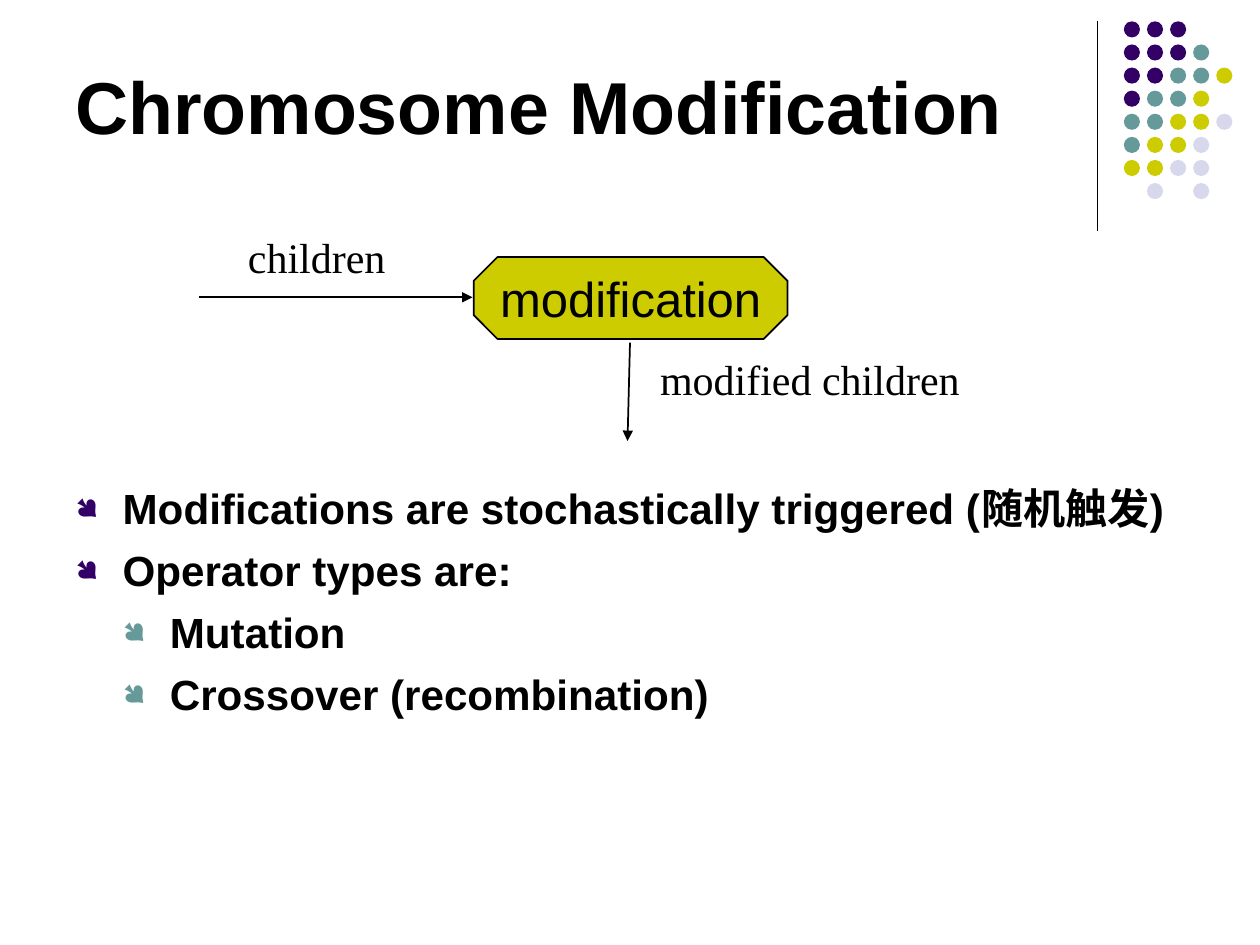
from lxml.etree import SubElement
from pptx import Presentation
from pptx.dml.color import RGBColor
from pptx.enum.shapes import MSO_CONNECTOR as Connector, MSO_SHAPE as Shape
from pptx.enum.text import MSO_ANCHOR as Anchor, PP_ALIGN as Align
from pptx.oxml.ns import qn
from pptx.util import Pt

COLORS = {
    "black": "000000",
    "purple": "330066",
    "teal": "669999",
    "olive": "CCCC00",
    "lavender": "D8D8EC",
}
TITLE = "Chromosome Modification"
OPERATION = "modification"
LABELS = [
    ("children", (134.6, 128.9, 92.9, 36)),
    ("modified children", (370.1, 198.7, 185.8, 36)),
]
LINES = [
    ((627.1, 12.2), (627.1, 131.8), 0.75, False),
    ((113.8, 169.9), (270, 169.9), 1, True),
    ((360, 195.8), (358.6, 252), 1, True),
]
BULLETS = [
    (0, "Modifications are stochastically triggered (随机触发)"),
    (0, "Operator types are:"),
    (1, "Mutation"),
    (1, "Crossover (recombination)"),
]
BULLET_COLORS = ["purple", "teal"]
BULLET_INDENT = 27
DOT_ROWS = ["PPP", "PPPT", "PPTTO", "PTTO", "TTOOL", "TOOL", "OOLL", " L L"]
DOT_COLORS = {"P": "purple", "T": "teal", "O": "olive", "L": "lavender"}
DOT_LEFT, DOT_TOP, DOT_PITCH, DOT_SIZE = 642.2, 12.2, 13.2, 9.2


def rgb(name):
    return RGBColor.from_string(COLORS[name])


def add_shape(slide, kind, box, fill, line=None):
    shape = slide.shapes.add_shape(kind, *map(Pt, box))
    shape.shadow.inherit = False
    shape.fill.solid()
    shape.fill.fore_color.rgb = rgb(fill)
    if line:
        shape.line.color.rgb = rgb(line)
        shape.line.width = Pt(1)
    else:
        shape.line.fill.background()
    return shape


def add_line(slide, start, end, width, arrow):
    line = slide.shapes.add_connector(Connector.STRAIGHT, *map(Pt, start + end))
    line.line.color.rgb = rgb("black")
    line.line.width = Pt(width)
    if arrow:
        SubElement(line.line._get_or_add_ln(), qn("a:tailEnd"), type="triangle")
    SubElement(line._element.spPr, qn("a:effectLst"))


def add_bullet(paragraph, level):
    properties = paragraph._p.get_or_add_pPr()
    properties.set("marL", str(Pt(BULLET_INDENT * (level + 1))))
    properties.set("indent", str(Pt(-BULLET_INDENT)))
    color = SubElement(properties, qn("a:buClr"))
    SubElement(color, qn("a:srgbClr"), val=COLORS[BULLET_COLORS[level]])
    SubElement(properties, qn("a:buSzPct"), val="70000")
    SubElement(properties, qn("a:buFont"), typeface="Wingdings")
    SubElement(properties, qn("a:buChar"), char="●")


def write(paragraph, text, size, font="Arial", bold=False, align=Align.LEFT):
    run = paragraph.add_run()
    run.text = text
    run.font.size = Pt(size)
    run.font.name = font
    run.font.bold = bold
    run.font.color.rgb = rgb("black")
    paragraph.alignment = align


def add_text_frame(slide, box, wrap=True, anchor=Anchor.TOP):
    frame = slide.shapes.add_textbox(*map(Pt, box)).text_frame
    frame.word_wrap = wrap
    frame.vertical_anchor = anchor
    return frame


def add_dots(slide):
    for row, codes in enumerate(DOT_ROWS):
        for column, code in enumerate(codes):
            if code in DOT_COLORS:
                left = DOT_LEFT + column * DOT_PITCH
                top = DOT_TOP + row * DOT_PITCH
                box = (left, top, DOT_SIZE, DOT_SIZE)
                add_shape(slide, Shape.OVAL, box, DOT_COLORS[code])


def add_bullets(slide):
    frame = add_text_frame(slide, (36, 272, 648, 186))
    for index, (level, text) in enumerate(BULLETS):
        paragraph = frame.add_paragraph() if index else frame.paragraphs[0]
        add_bullet(paragraph, level)
        paragraph.level = level
        if index:
            paragraph.space_before = Pt(6.5)
        write(paragraph, text, 24.1, bold=True)


def main():
    presentation = Presentation()
    presentation.slide_width, presentation.slide_height = Pt(720), Pt(540)
    slide = presentation.slides.add_slide(presentation.slide_layouts[6])

    add_dots(slide)
    title = add_text_frame(slide, (36, 9.4, 594, 79.2), anchor=Anchor.BOTTOM)
    write(title.paragraphs[0], TITLE, 42, bold=True)

    octagon = add_shape(slide, Shape.OCTAGON, (270.7, 146.9, 179.3, 46.8), "olive", "black")
    octagon.adjustments[0] = 0.29
    octagon.text_frame.word_wrap = False
    octagon.text_frame.vertical_anchor = Anchor.MIDDLE
    write(octagon.text_frame.paragraphs[0], OPERATION, 28, align=Align.CENTER)

    for line in LINES:
        add_line(slide, *line)
    for text, box in LABELS:
        frame = add_text_frame(slide, box, wrap=False)
        write(frame.paragraphs[0], text, 24, font="Times New Roman")
    add_bullets(slide)
    presentation.save("out.pptx")


if __name__ == "__main__":
    main()
